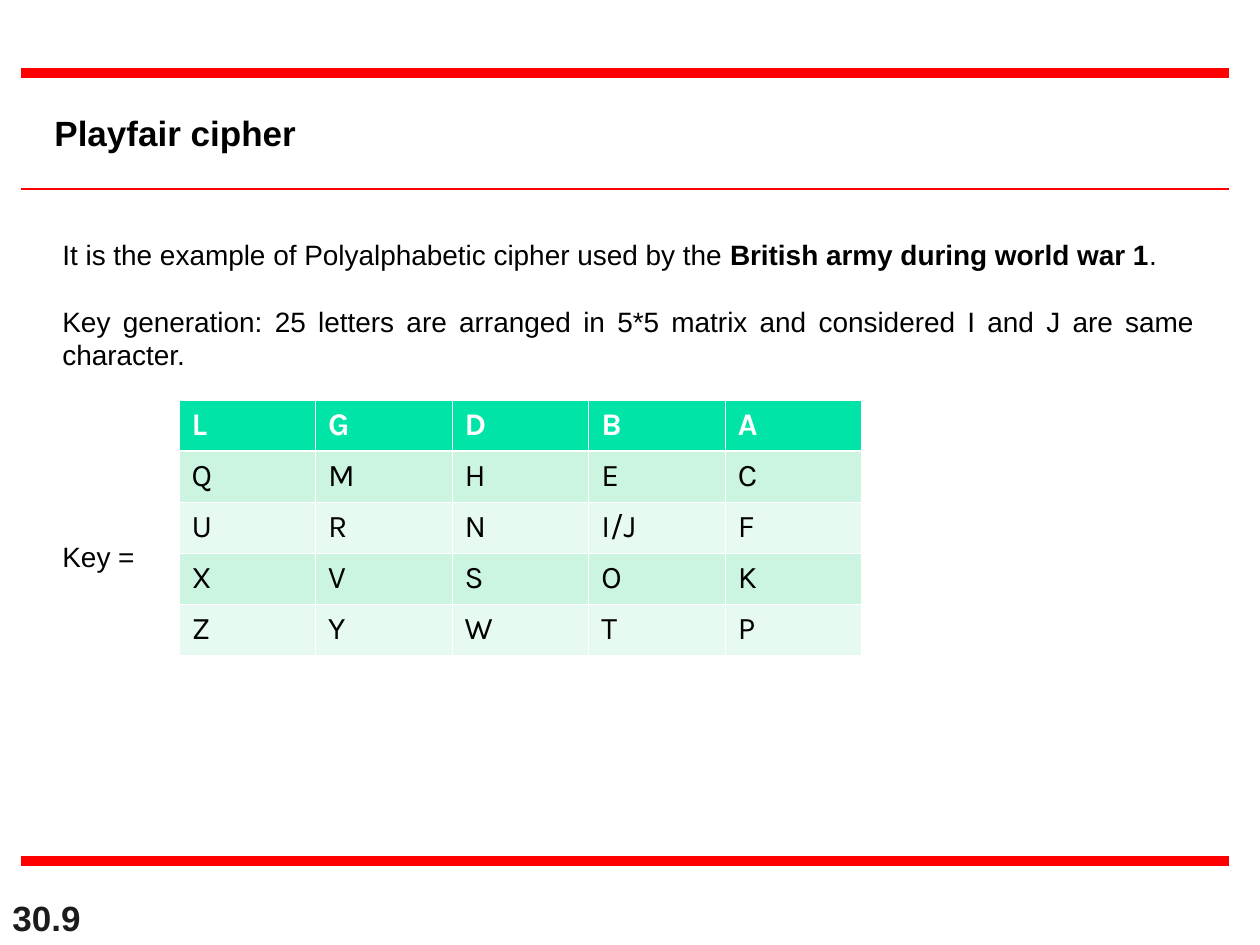
from dataclasses import dataclass

from lxml import etree
from pptx import Presentation
from pptx.dml.color import RGBColor
from pptx.enum.shapes import MSO_CONNECTOR
from pptx.enum.text import MSO_ANCHOR, PP_ALIGN
from pptx.oxml.ns import qn
from pptx.util import Emu, Pt

STRAIGHT = MSO_CONNECTOR.STRAIGHT
TOP, BOTTOM = MSO_ANCHOR.TOP, MSO_ANCHOR.BOTTOM
LEFT, JUSTIFY = PP_ALIGN.LEFT, PP_ALIGN.JUSTIFY
SCALE = 914400 // 126


@dataclass(frozen=True)
class Theme:
    red: str = "FF0000"
    black: str = "000000"
    dark: str = "1C1C1C"
    white: str = "FFFFFF"
    head: str = "00E4A8"
    bands: tuple = ("E7FAF1", "CBF5E1")
    sans: str = "Arial"
    grid: str = "Karla"
    title: int = 20
    body: int = 16
    cell: int = 18
    pitch: float = 19.2
    thick: float = 6
    thin: float = 1.5


THEME = Theme()
KEY = ["LGDBA", "QMHEC", "URNIF", "XVSOK", "ZYWTP"]


def px(num):
    return Emu(round(num * SCALE))


def color(code):
    return RGBColor.from_string(code)


def style(font, size, name, code, bold=False):
    values = {"size": Pt(size), "name": name, "bold": bold}
    for key, value in values.items():
        setattr(font, key, value)
    font.color.rgb = color(code)


def add_rule(slide, y, weight):
    rule = slide.shapes.add_connector(STRAIGHT, px(21), px(y), px(1229), px(y))
    rule.line.color.rgb = color(THEME.red)
    rule.line.width = Pt(weight)
    etree.SubElement(rule._element.spPr, qn("a:effectLst"))


def add_box(slide, area, anchor=TOP):
    frame = slide.shapes.add_textbox(*map(px, area)).text_frame
    frame.word_wrap = True
    frame.vertical_anchor = anchor
    return frame


def add_label(slide, area, text, code, anchor=TOP):
    para = add_box(slide, area, anchor).paragraphs[0]
    para.alignment = LEFT
    run = para.add_run()
    run.text = text
    style(run.font, THEME.title, THEME.sans, code, True)


def add_body(slide, area, items):
    """Each item is the lines skipped before it and its (text, bold) runs."""
    frame = add_box(slide, area)
    for index, (skip, runs) in enumerate(items):
        para = frame.add_paragraph() if index else frame.paragraphs[0]
        look = {"alignment": JUSTIFY, "line_spacing": Pt(THEME.pitch)}
        if skip:
            look["space_before"] = Pt(skip * THEME.pitch)
        for key, value in look.items():
            setattr(para, key, value)
        for text, bold in runs:
            run = para.add_run()
            run.text = text
            style(run.font, THEME.body, THEME.sans, THEME.black, bold)


def add_edges(cell, widths):
    props = cell._tc.get_or_add_tcPr()
    for index, (side, width) in enumerate(widths.items()):
        edge = etree.Element(qn(f"a:ln{side}"), w=str(Pt(width)))
        fill = etree.SubElement(edge, qn("a:solidFill"))
        etree.SubElement(fill, qn("a:srgbClr"), val=THEME.white)
        props.insert(index, edge)


def add_grid(slide, area, rows):
    shape = slide.shapes.add_table(len(rows), len(rows[0]), *map(px, area))
    table = shape.table
    for col in table.columns:
        col.width = px(area[2] / len(rows[0]))
    for r, letters in enumerate(rows):
        table.rows[r].height = px(area[3] / len(rows))
        first = r == 0
        fill = THEME.head if first else THEME.bands[r % 2]
        ink = THEME.white if first else THEME.black
        edges = {"L": 0.45, "R": 0.45,
                 "T": 1.47 if r == 1 else 0.45,
                 "B": 1.47 if first else 0.45}
        for c, letter in enumerate(letters):
            cell = table.cell(r, c)
            cell.fill.solid()
            cell.fill.fore_color.rgb = color(fill)
            run = cell.text_frame.paragraphs[0].add_run()
            run.text = "I/J" if letter == "I" else letter
            style(run.font, THEME.cell, THEME.grid, ink, first)
            add_edges(cell, edges)


def main():
    deck = Presentation()
    deck.slide_width, deck.slide_height = px(1260), px(945)
    slide = deck.slides.add_slide(deck.slide_layouts[6])

    # Page number, rules and title
    add_label(slide, (0, 882, 262, 63), "30.9", THEME.dark, BOTTOM)
    for y, weight in ((73, THEME.thick), (189, THEME.thin), (861, THEME.thick)):
        add_rule(slide, y, weight)
    add_label(slide, (42, 105, 788, 55), "Playfair cipher", THEME.black)

    # Explanation
    add_body(slide, (50, 231, 1157, 617), [
        (0, [("It is the example of Polyalphabetic cipher used by the ", False),
             ("British army during world war 1", True), (". ", False)]),
        (1, [("Key generation: 25 letters are arranged in 5*5 matrix and "
              "considered I and J are same character. ", False)]),
        (5, [("Key =", False)]),
    ])

    # Key matrix
    add_grid(slide, (179, 400, 683, 255), KEY)
    deck.save("out.pptx")


if __name__ == "__main__":
    main()
